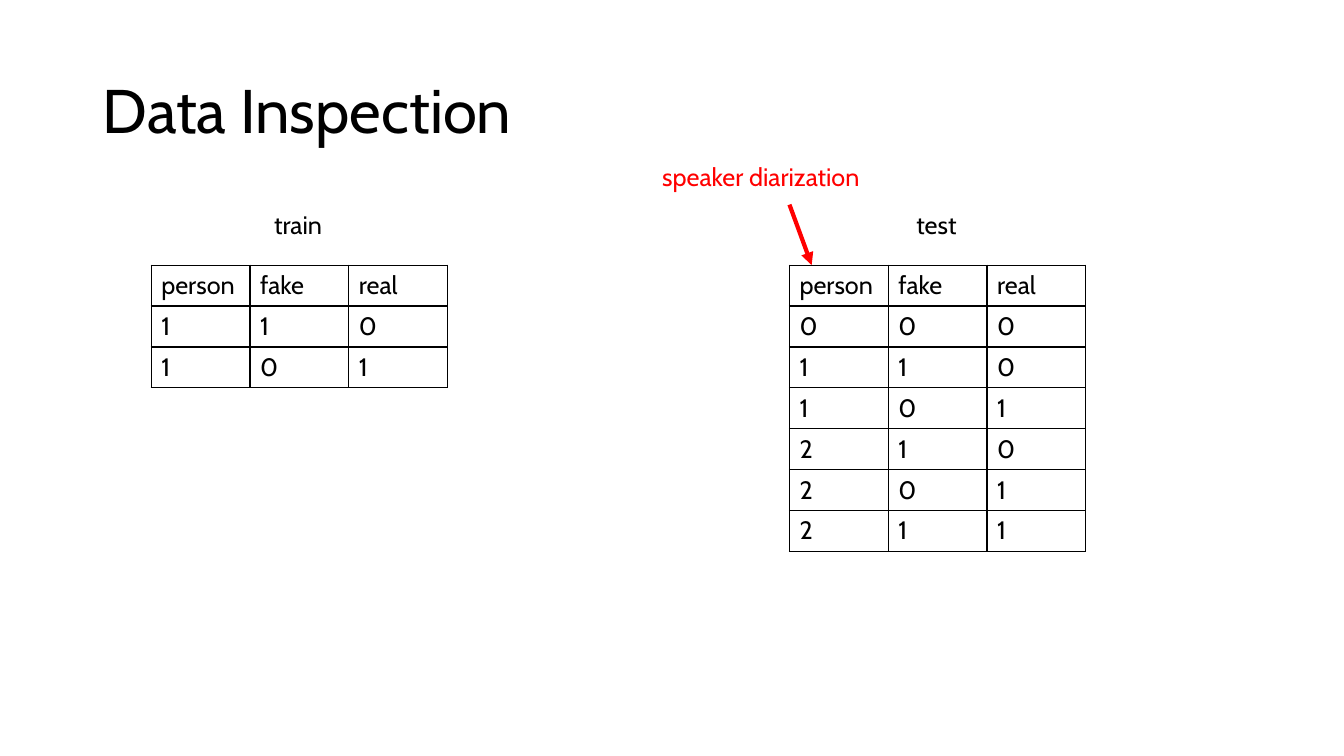
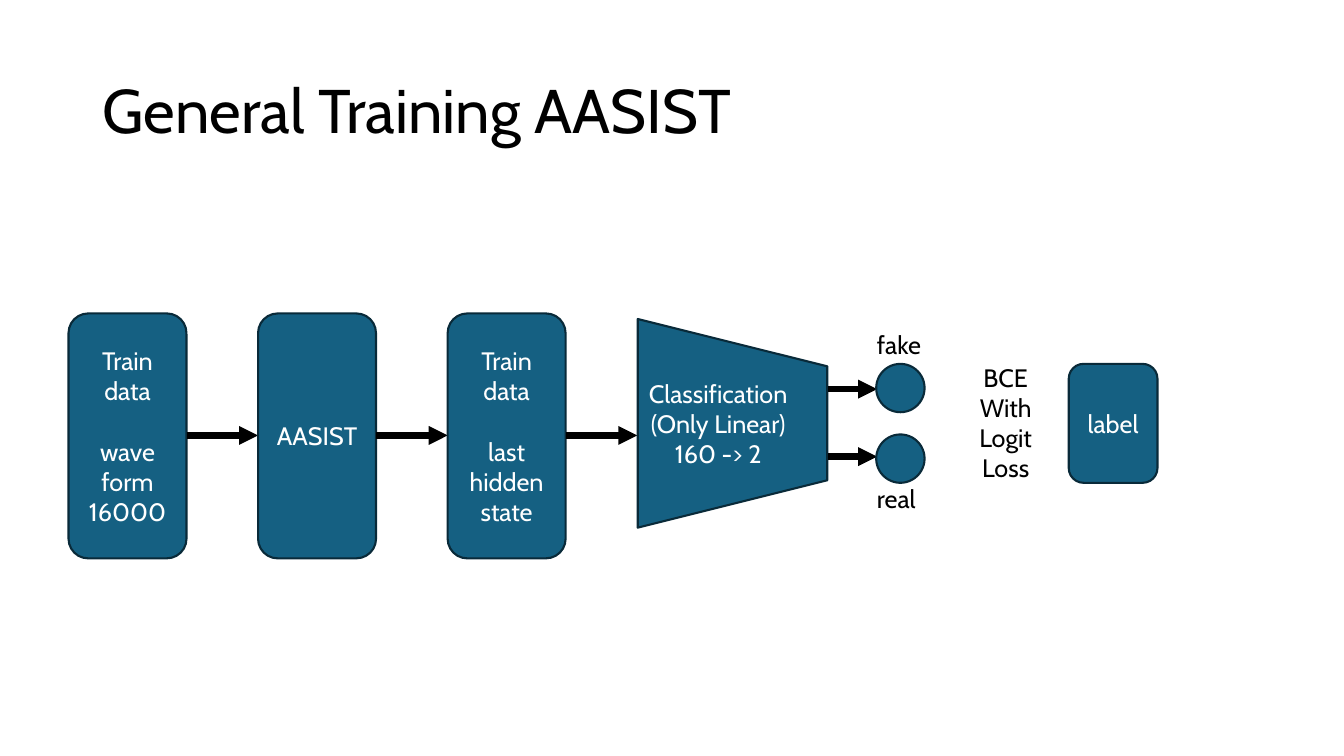
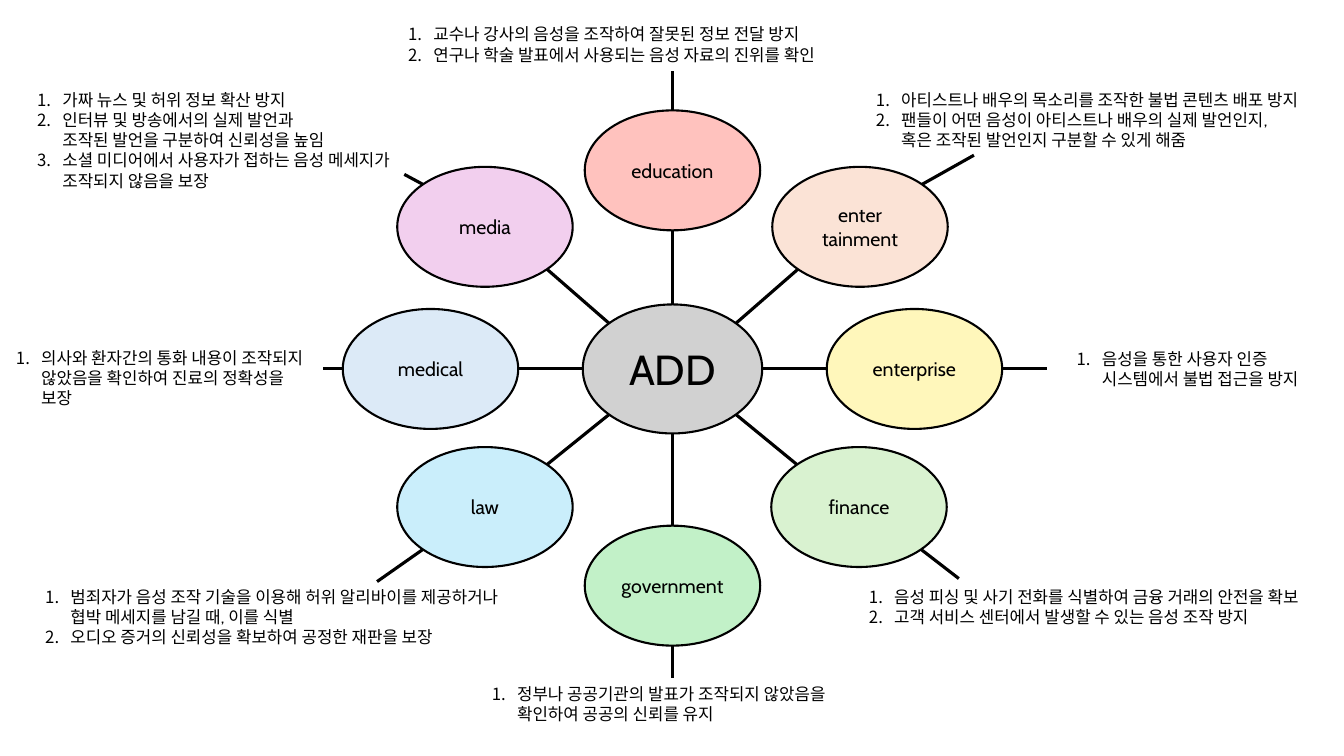
from math import hypot

from lxml import etree
from pptx import Presentation
from pptx.dml.color import RGBColor
from pptx.enum.shapes import MSO_CONNECTOR, MSO_SHAPE
from pptx.enum.text import MSO_ANCHOR, MSO_AUTO_SIZE, PP_ALIGN
from pptx.oxml.ns import qn
from pptx.util import Inches, Pt

LEFT, CENTER = PP_ALIGN.LEFT, PP_ALIGN.CENTER
MIDDLE = MSO_ANCHOR.MIDDLE
FIT_SHAPE, NO_FIT = MSO_AUTO_SIZE.SHAPE_TO_FIT_TEXT, MSO_AUTO_SIZE.NONE
STRAIGHT = MSO_CONNECTOR.STRAIGHT
ROUND, OVAL, TRAPEZOID = MSO_SHAPE.ROUNDED_RECTANGLE, MSO_SHAPE.OVAL, MSO_SHAPE.TRAPEZOID
TITLE_ONLY, BLANK = 5, 6

FONT = "Cabin"
COLORS = {
    "black": "000000", "white": "FFFFFF", "red": "FF0000",
    "block": "156082", "edge": "092A39", "hub": "D1D1D1",
    "media": "F2CFEE", "education": "FFC2BE", "entertainment": "FBE3D6",
    "enterprise": "FFF7BB", "finance": "D9F2D0", "government": "C2F1C8",
    "law": "CAEEFB", "medical": "DCEAF7",
}

HUB = (6.67, 3.66)
HUB_SIZE = (1.78, 1.28)
NODE_SIZE = (1.74, 1.19)
NODES = [
    ("media", ["media"], (4.81, 2.25), (4.01, 1.73), (0.27, 0.84, 4, 1.11), [
        "가짜 뉴스 및 허위 정보 확산 방지",
        "인터뷰 및 방송에서의 실제 발언과\n조작된 발언을 구분하여 신뢰성을 높임",
        "소셜 미디어에서 사용자가 접하는 음성 메세지가\n조작되지 않음을 보장"]),
    ("education", ["education"], (6.67, 1.69), (6.67, 0.7), (3.95, 0.19, 4.57, 0.5), [
        "교수나 강사의 음성을 조작하여 잘못된 정보 전달 방지",
        "연구나 학술 발표에서 사용되는 음성 자료의 진위를 확인"]),
    ("entertainment", ["enter", "tainment"], (8.53, 2.25), (9.66, 1.54), (8.59, 0.84, 4.74, 0.71), [
        "아티스트나 배우의 목소리를 조작한 불법 콘텐츠 배포 방지",
        "팬들이 어떤 음성이 아티스트나 배우의 실제 발언인지,\n혹은 조작된 발언인지 구분할 수 있게 해줌"]),
    ("enterprise", ["enterprise"], (9.07, 3.66), (10.38, 3.66), (10.58, 3.41, 2.58, 0.5), [
        "음성을 통한 사용자 인증\n시스템에서 불법 접근을 방지"]),
    ("finance", ["finance"], (8.52, 5.03), (9.51, 5.74), (8.52, 5.77, 4.81, 0.5), [
        "음성 피싱 및 사기 전화를 식별하여 금융 거래의 안전을 확보",
        "고객 서비스 센터에서 발생할 수 있는 음성 조작 방지"]),
    ("government", ["government"], (6.67, 5.81), (6.67, 6.73), (4.78, 6.73, 3.79, 0.71), [
        "정부나 공공기관의 발표가 조작되지 않았음을\n확인하여 공공의 신뢰를 유지"]),
    ("law", ["law"], (4.81, 5.03), (3.74, 5.77), (0.35, 5.77, 5.08, 0.71), [
        "범죄자가 음성 조작 기술을 이용해 허위 알리바이를 제공하거나\n협박 메세지를 남길 때, 이를 식별",
        "오디오 증거의 신뢰성을 확보하여 공정한 재판을 보장"]),
    ("medical", ["medical"], (4.27, 3.66), (3.2, 3.66), (0.06, 3.4, 3.29, 0.71), [
        "의사와 환자간의 통화 내용이 조작되지\n않았음을 확인하여 진료의 정확성을\n보장"]),
]


def rgb(name):
    return RGBColor.from_string(COLORS[name])


def centred(center, size):
    return center[0] - size[0] / 2, center[1] - size[1] / 2, *size


def edge_point(center, size, direction):
    length = hypot(*direction)
    return [c + s / 2 * d / length for c, s, d in zip(center, size, direction)]


class Deck:
    """Holds the shared style and the slide being filled."""

    def __init__(self):
        self.prs = Presentation()
        self.prs.slide_width = Inches(13.33)
        self.prs.slide_height = Inches(7.5)

    def add_slide(self, title=None):
        layout = self.prs.slide_layouts[TITLE_ONLY if title else BLANK]
        self.slide = self.prs.slides.add_slide(layout)
        if title:
            sp = self.slide.shapes.title
            sp.left, sp.top, sp.width, sp.height = map(Inches, (0.92, 0.4, 11.5, 1.45))
            tf = sp.text_frame
            tf.auto_size = NO_FIT
            tf.vertical_anchor = MIDDLE
            self.set_lines(tf, [title], 44)
            tf.paragraphs[0].line_spacing = 0.9

    def set_lines(self, tf, lines, size=18, color="black", align=LEFT, numbered=False):
        for i, line in enumerate(lines):
            p = tf.paragraphs[0] if i == 0 else tf.add_paragraph()
            p.text = line
            p.alignment = align
            if numbered:
                pPr = p._p.get_or_add_pPr()
                pPr.set("marL", str(Inches(0.25)))
                pPr.set("indent", str(-Inches(0.25)))
                etree.SubElement(pPr, qn("a:buAutoNum"), type="arabicPeriod")
            for r in p.runs:
                r.font.name = FONT
                r.font.size = Pt(size)
                r.font.color.rgb = rgb(color)

    def text(self, box, lines, **style):
        tf = self.slide.shapes.add_textbox(*map(Inches, box)).text_frame
        tf.word_wrap = False
        tf.auto_size = FIT_SHAPE
        self.set_lines(tf, lines, **style)

    def shape(self, kind, box, lines=(), fill="block", line="edge", color="white", size=18):
        sp = self.slide.shapes.add_shape(kind, *map(Inches, box))
        sp.shadow.inherit = False
        sp.fill.solid()
        sp.fill.fore_color.rgb = rgb(fill)
        sp.line.color.rgb = rgb(line)
        sp.line.width = Pt(1.5)
        sp.text_frame.vertical_anchor = MIDDLE
        self.set_lines(sp.text_frame, lines, size, color, CENTER)
        return sp

    def line(self, start, end, width=2.25, color="black", arrow=False):
        sp = self.slide.shapes.add_connector(STRAIGHT, *map(Inches, (*start, *end)))
        sp.line.color.rgb = rgb(color)
        sp.line.width = Pt(width)
        if arrow:
            etree.SubElement(sp.line._get_or_add_ln(), qn("a:tailEnd"), type="triangle")
        etree.SubElement(sp._element.spPr, qn("a:effectLst"))

    def table(self, left, top, rows, col_width=0.98, row_height=0.406):
        cols = len(rows[0])
        table = self.slide.shapes.add_table(
            len(rows), cols, Inches(left), Inches(top),
            Inches(col_width * cols), Inches(row_height * len(rows))).table
        table.first_row = table.horz_banding = False
        for i, row in enumerate(rows):
            for j, value in enumerate(row):
                cell = table.cell(i, j)
                self.set_lines(cell.text_frame, [value])
                self.border(cell)
                cell.fill.background()

    def border(self, cell):
        tcPr = cell._tc.get_or_add_tcPr()
        for side in ("lnL", "lnR", "lnT", "lnB"):
            ln = etree.SubElement(tcPr, qn("a:" + side), w=str(Pt(1)))
            fill = etree.SubElement(ln, qn("a:solidFill"))
            etree.SubElement(fill, qn("a:srgbClr"), val=COLORS["black"])


def data_slide(deck):
    deck.add_slide("Data Inspection")
    header = ["person", "fake", "real"]
    deck.text((2.62, 2.03, 0.69, 0.4), ["train"])
    deck.text((8.99, 2.03, 0.62, 0.4), ["test"])
    deck.table(1.5, 2.63, [header, "110", "101"])
    deck.table(7.83, 2.63, [header, "000", "110", "101", "210", "201", "211"])
    deck.line((7.83, 2.03), (8.05, 2.63), 3, "red", arrow=True)
    deck.text((6.47, 1.55, 2.26, 0.4), ["speaker diarization"], color="red")


def training_slide(deck):
    deck.add_slide("General Training AASIST")
    stages = [
        ["Train", "data", "wave", "form", "16000"],
        ["AASIST"],
        ["Train", "data", "last", "hidden", "state"],
    ]
    width, step = 1.17, 1.88
    for i, lines in enumerate(stages):
        x = 0.68 + step * i
        sp = deck.shape(ROUND, (x, 3.11, width, 2.43), lines)
        if len(lines) > 2:
            sp.text_frame.paragraphs[2].space_before = Pt(21.6)
        deck.line((x + width, 4.32), (x + step, 4.32), 4.5, arrow=True)

    sp = deck.shape(TRAPEZOID, (6.23, 3.26, 2.07, 1.88),
                    ["Classification", "(Only Linear)", "160 -> 2"])
    sp.rotation = 90
    sp.text_frame._txBody.bodyPr.set("vert", "vert270")

    for name, arrow_y, circle_y, label_y in (
            ("fake", 3.86, 3.61, 3.22), ("real", 4.53, 4.31, 4.75)):
        deck.line((8.21, arrow_y), (8.7, arrow_y), 4.5, arrow=True)
        deck.shape(OVAL, (8.69, circle_y, 0.48, 0.48))
        deck.text((8.6, label_y, 0.64, 0.4), [name])
    deck.shape(ROUND, (10.6, 3.61, 0.88, 1.18), ["label"])
    deck.text((9.61, 3.54, 0.73, 1.31), ["BCE", "With", "Logit", "Loss"], align=CENTER)


def applications_slide(deck):
    deck.add_slide()
    deck.shape(OVAL, centred(HUB, HUB_SIZE), ["ADD"], "hub", "black", "black", 30)
    for name, label, center, tip, box, notes in NODES:
        outward = [(c > h) - (c < h) for c, h in zip(center, HUB)]
        inward = [-d for d in outward]
        deck.shape(OVAL, centred(center, NODE_SIZE), label, name, "black", "black", 14)
        deck.line(edge_point(HUB, HUB_SIZE, outward), edge_point(center, NODE_SIZE, inward))
        deck.line(edge_point(center, NODE_SIZE, outward), tip)
        deck.text(box, notes, size=12, numbered=True)


def main():
    deck = Deck()
    data_slide(deck)
    training_slide(deck)
    applications_slide(deck)
    deck.prs.save("out.pptx")


if __name__ == "__main__":
    main()
